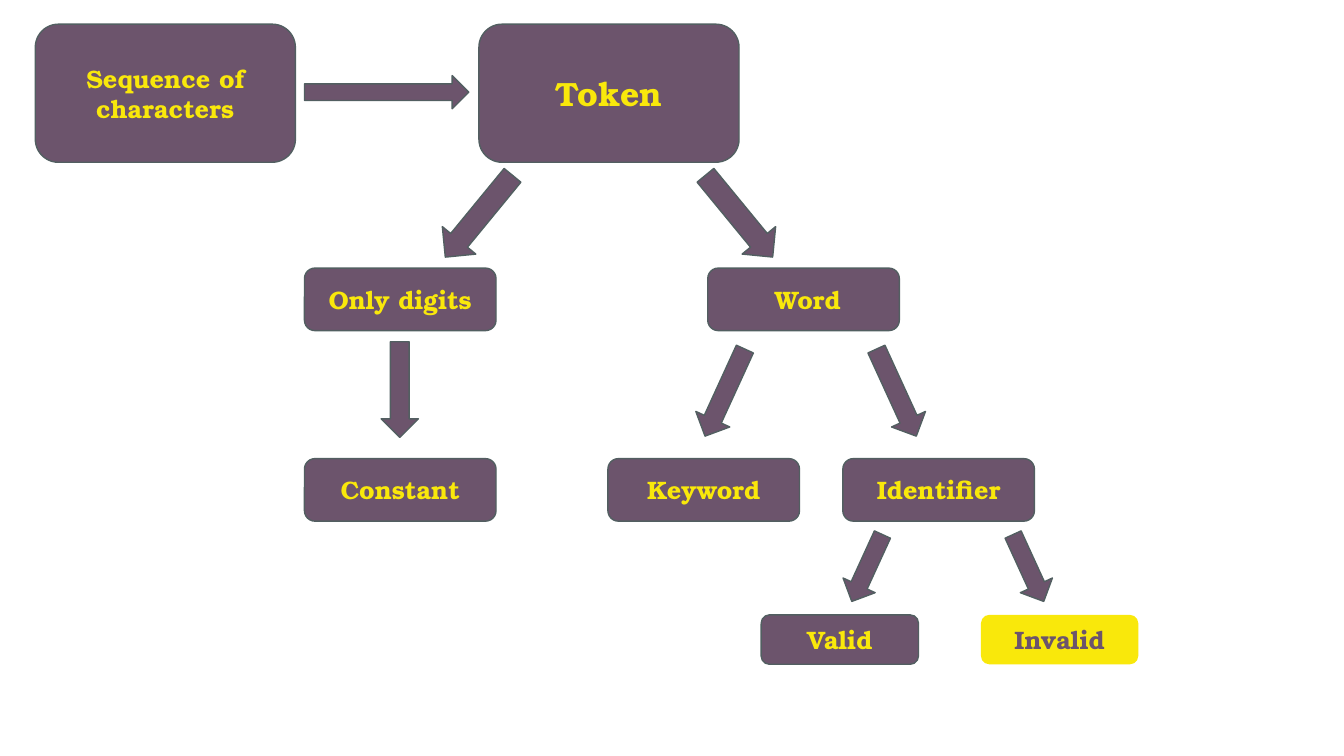
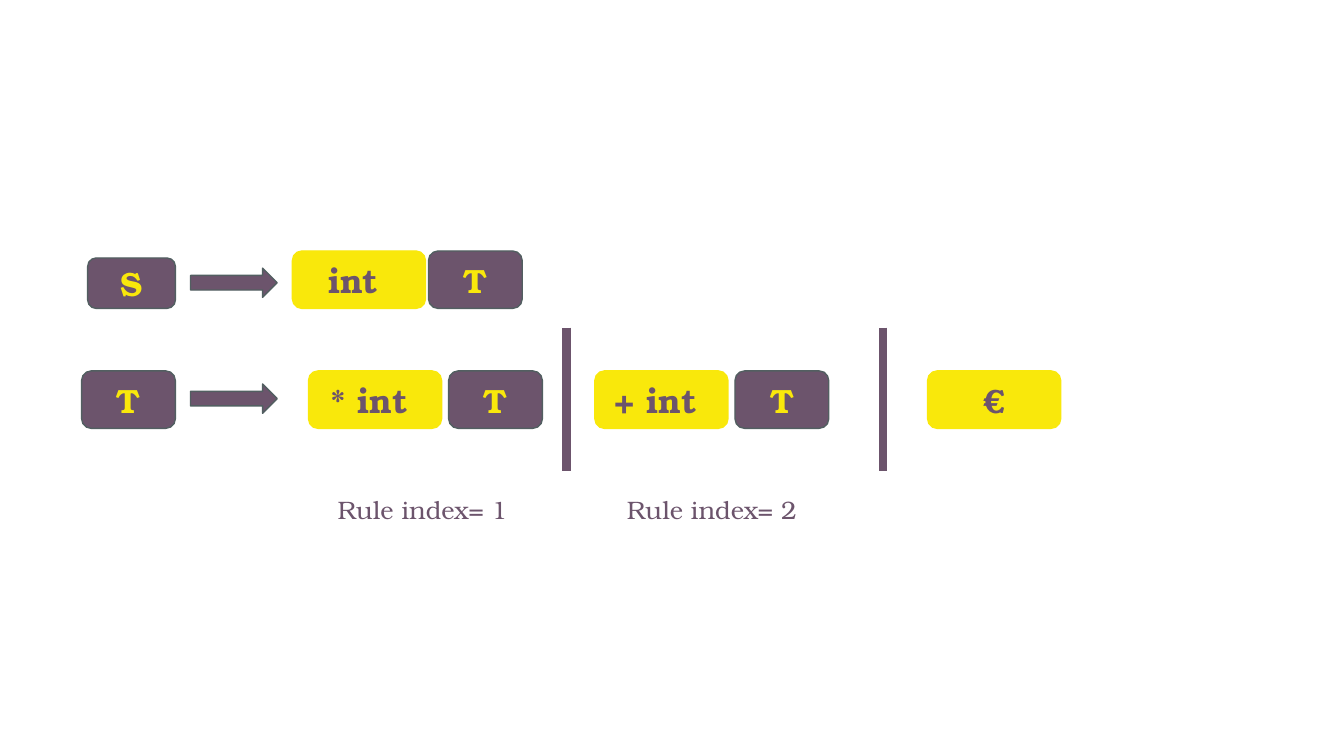
"""Build two slides: a token classification tree and a pair of grammar rules."""
from lxml import etree
from pptx import Presentation
from pptx.dml.color import RGBColor
from pptx.enum import shapes, text
from pptx.oxml import ns
from pptx.util import Inches, Pt

PURPLE = RGBColor(0x6C, 0x54, 0x6C)
SLATE = RGBColor(0x52, 0x5F, 0x61)
YELLOW = RGBColor(0xF9, 0xE8, 0x0B)
FONT = "TeX Gyre Bonum"

NODE = (PURPLE, SLATE, YELLOW)
TERMINAL = (YELLOW, YELLOW, PURPLE)
REJECTED = (YELLOW, None, PURPLE)


def set_text(tf, content, size, color, bold=False):
    tf.text = content
    r = tf.paragraphs[0].runs[0]
    r.font.name = FONT
    r.font.size = Pt(size)
    r.font.bold = bold
    r.font.color.rgb = color


def add_block(s, kind, x, y, w, h, fill, line):
    sp = s.shapes.add_shape(kind, Inches(x), Inches(y), Inches(w), Inches(h))
    sp.shadow.inherit = False
    sp.fill.solid()
    sp.fill.fore_color.rgb = fill
    if line is None:
        sp.line.fill.background()
    else:
        sp.line.color.rgb = line
        sp.line.width = Pt(1)
    return sp


def add_box(s, content, x, y, w, h, size=18, style=NODE):
    fill, line, color = style
    sp = add_block(s, shapes.MSO_SHAPE.ROUNDED_RECTANGLE, x, y, w, h, fill, line)
    tf = sp.text_frame
    tf.word_wrap = True
    tf.vertical_anchor = text.MSO_ANCHOR.MIDDLE
    set_text(tf, content, size, color, bold=True)
    tf.paragraphs[0].alignment = text.PP_ALIGN.CENTER


def add_arrow(s, x, y, w, h, angle=0):
    sp = add_block(s, shapes.MSO_SHAPE.RIGHT_ARROW, x, y, w, h, PURPLE, SLATE)
    sp.rotation = angle


def add_fork(s, center, spread, y, w, h, tilt):
    for side in (-1, 1):
        add_arrow(s, center + side * spread - w / 2, y, w, h, 90 - side * tilt)


def add_divider(s, x, top, bottom):
    line = s.shapes.add_connector(shapes.MSO_CONNECTOR.STRAIGHT,
                                  Inches(x), Inches(top), Inches(x), Inches(bottom))
    line.line.color.rgb = PURPLE
    line.line.width = Pt(6)
    etree.SubElement(line._element.spPr, ns.qn("a:effectLst"))


def add_label(s, content, x, y):
    sp = s.shapes.add_textbox(Inches(x), Inches(y), Inches(1.92), Inches(0.4))
    tf = sp.text_frame
    tf.word_wrap = False
    tf.auto_size = text.MSO_AUTO_SIZE.SHAPE_TO_FIT_TEXT
    set_text(tf, content, 18, PURPLE)


def build_token_tree(s):
    add_box(s, "Sequence of characters", 0.35, 0.24, 2.58, 1.37)
    add_arrow(s, 3.02, 0.75, 1.63, 0.33)
    add_box(s, "Token", 4.75, 0.24, 2.58, 1.37, size=24)

    add_fork(s, 6.04, 1.29, 1.93, 1.05, 0.43, 39.4)
    add_arrow(s, 3.49, 3.68, 0.95, 0.37, 90)
    add_fork(s, 8.04, 0.85, 3.71, 0.95, 0.37, 24.6)
    add_fork(s, 9.4, 0.8, 5.46, 0.73, 0.35, 24.6)

    for content, x, y in (("Only digits", 3.02, 2.66), (" Word", 7.02, 2.66),
                          ("Constant", 3.02, 4.55), ("Keyword", 6.03, 4.55),
                          ("Identifier", 8.36, 4.55)):
        add_box(s, content, x, y, 1.9, 0.62)
    add_box(s, "Valid", 7.55, 6.1, 1.56, 0.49)
    add_box(s, "Invalid", 9.73, 6.1, 1.56, 0.49, style=REJECTED)


def build_grammar(s):
    start_y, rule_y = 2.49, 3.68
    add_box(s, "S", 0.87, 2.56, 0.87, 0.5, size=24)
    for y in (2.66, 3.81):
        add_arrow(s, 1.89, y, 0.86, 0.29)
    for content, x, y in (("int ", 2.9, start_y), ("* int ", 3.06, rule_y),
                          ("+ int ", 5.9, rule_y), ("€", 9.2, rule_y)):
        add_box(s, content, x, y, 1.32, 0.57, size=24, style=TERMINAL)
    for x, y in ((4.25, start_y), (0.81, rule_y), (4.45, rule_y), (7.29, rule_y)):
        add_box(s, "T", x, y, 0.93, 0.57, size=24)
    for x in (5.62, 8.76):
        add_divider(s, x, 3.25, 4.67)
    for index, x in enumerate((3.25, 6.12), start=1):
        add_label(s, f"Rule index= {index}", x, 4.86)


def main():
    prs = Presentation()
    prs.slide_width = Inches(13.33)
    prs.slide_height = Inches(7.5)
    for build in (build_token_tree, build_grammar):
        build(prs.slides.add_slide(prs.slide_layouts[6]))
    prs.save("out.pptx")


if __name__ == "__main__":
    main()
